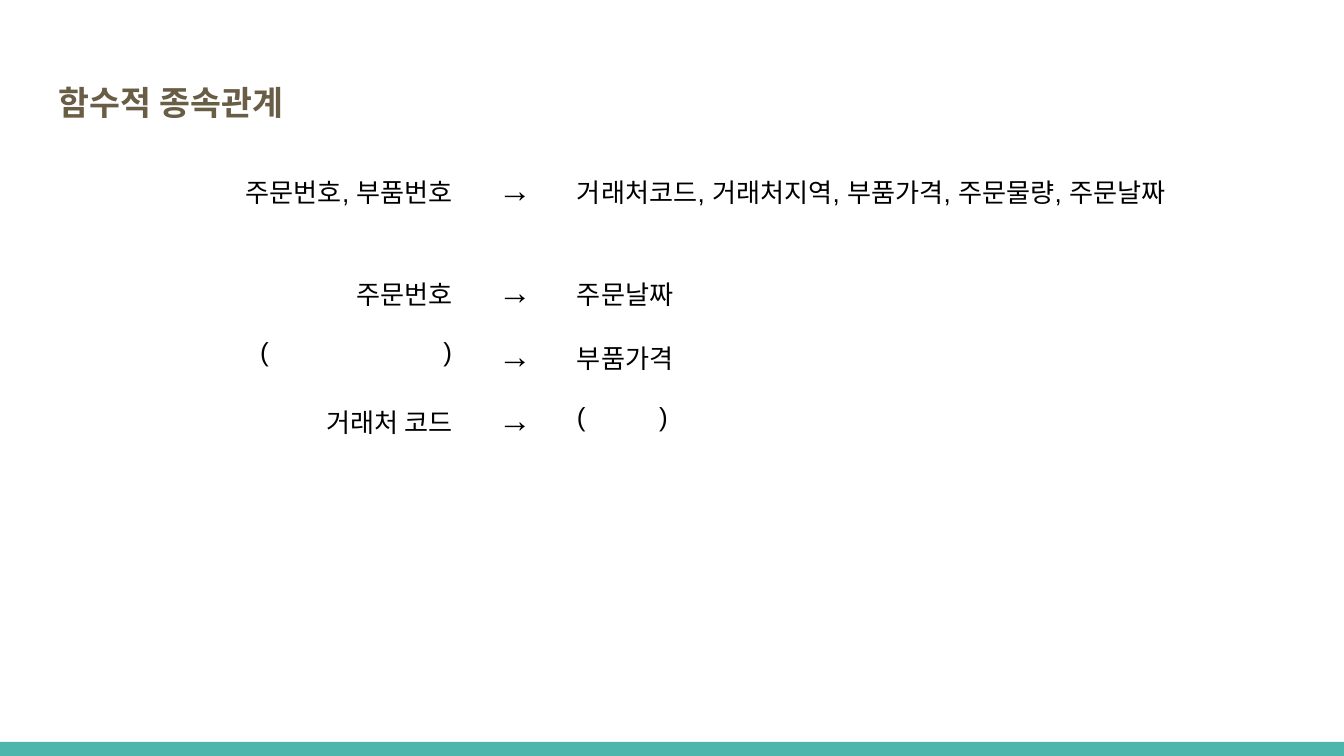
from dataclasses import dataclass

from lxml import etree
from pptx import Presentation
from pptx import util as u
from pptx.dml.color import RGBColor
from pptx.enum import shapes, text
from pptx.oxml import ns

EMU_PER_PX = 914400 / 134.4
NO_GRID_STYLE = "{2D5ABB26-0587-4C30-8999-92F81FD0307C}"


def px(length):
    return u.Emu(round(length * EMU_PER_PX))


@dataclass(frozen=True)
class Theme:
    bar: str = "4DB6AC"
    heading: str = "695D46"
    ink: str = "000000"
    heading_font: str = "Open Sans"
    body_font: str = "Arial"
    large: int = 18
    normal: int = 14
    inset: int = 13


class SlideBuilder:
    def __init__(self, deck, theme):
        self.theme = theme
        self.page = deck.slides.add_slide(deck.slide_layouts[5])

    def style(self, para, font, size, color, bold=False):
        for span in para.runs:
            span.font.name = font
            span.font.size = u.Pt(size)
            span.font.bold = bold
            span.font.color.rgb = RGBColor.from_string(color)

    def set_insets(self, holder):
        for side in ("left", "top", "right", "bottom"):
            setattr(holder, f"margin_{side}", px(self.theme.inset))

    def bar(self, left, top, width, height):
        shape = self.page.shapes.add_shape(
            shapes.MSO_SHAPE.RECTANGLE, px(left), px(top), px(width), px(height))
        shape.shadow.inherit = False
        shape.fill.solid()
        shape.fill.fore_color.rgb = RGBColor.from_string(self.theme.bar)
        shape.line.fill.background()

    def title(self, wording, left, top, width, height):
        box = self.page.shapes.title
        box.left, box.top, box.width, box.height = map(px, (left, top, width, height))
        frame = box.text_frame
        frame.text = wording
        frame.word_wrap = True
        frame.auto_size = text.MSO_AUTO_SIZE.NONE
        frame.vertical_anchor = text.MSO_ANCHOR.TOP
        self.set_insets(frame)
        para = frame.paragraphs[0]
        para.alignment = text.PP_ALIGN.LEFT
        para.line_spacing = 1.15
        self.style(para, self.theme.heading_font, self.theme.large,
                   self.theme.heading, True)

    def cell(self, cell, wording, align, size, bold):
        cell.fill.background()
        self.set_insets(cell)
        cell.text_frame.text = wording
        para = cell.text_frame.paragraphs[0]
        para.alignment = align
        self.style(para, self.theme.body_font, size, self.theme.ink, bold)

    def blank(self, cell, width, indent=0):
        """Fill a cell with empty brackets, the closing one at a right tab."""
        self.cell(cell, "(\t)", text.PP_ALIGN.LEFT, self.theme.normal, False)
        cell.margin_left = px(self.theme.inset + indent)
        properties = cell.text_frame.paragraphs[0]._p.get_or_add_pPr()
        tabs = etree.SubElement(properties, ns.qn("a:tabLst"))
        etree.SubElement(tabs, ns.qn("a:tab"), pos=str(px(width)), algn="r")

    def table(self, rows, left, top, widths, row_height):
        frame = self.page.shapes.add_table(
            len(rows), len(widths), px(left), px(top),
            px(sum(widths)), px(row_height * len(rows)))
        table = frame.table
        table.first_row = table.horz_banding = False
        table._tbl.tblPr.find(ns.qn("a:tableStyleId")).text = NO_GRID_STYLE
        for column, width in zip(table.columns, widths):
            column.width = px(width)
        formats = ((text.PP_ALIGN.RIGHT, self.theme.normal, False),
                   (text.PP_ALIGN.CENTER, self.theme.large, True),
                   (text.PP_ALIGN.LEFT, self.theme.normal, False))
        for r, row in enumerate(rows):
            for c, wording in enumerate(row):
                if wording is not None:
                    self.cell(table.cell(r, c), wording, *formats[c])
        return table


def main():
    deck = Presentation()
    deck.slide_width, deck.slide_height = px(1344), px(756)
    slide = SlideBuilder(deck, Theme())

    # Footer bar and heading
    slide.bar(0, 742, 1344, 14)
    slide.title("함수적 종속관계", 46, 63, 1252, 96)

    # Functional dependencies; None marks a blank to fill in
    dependencies = [
        ("주문번호, 부품번호", "거래처코드, 거래처지역, 부품가격, 주문물량, 주문날짜"),
        ("주문번호", "주문날짜"),
        (None, "부품가격"),
        ("거래처 코드", None),
    ]
    rows = [(source, "→", target) for source, target in dependencies]
    table = slide.table(rows, 83, 159, (383, 98, 667), 56)
    slide.blank(table.cell(2, 0), 192, indent=164)
    slide.blank(table.cell(3, 2), 91)

    deck.save("out.pptx")


if __name__ == "__main__":
    main()
